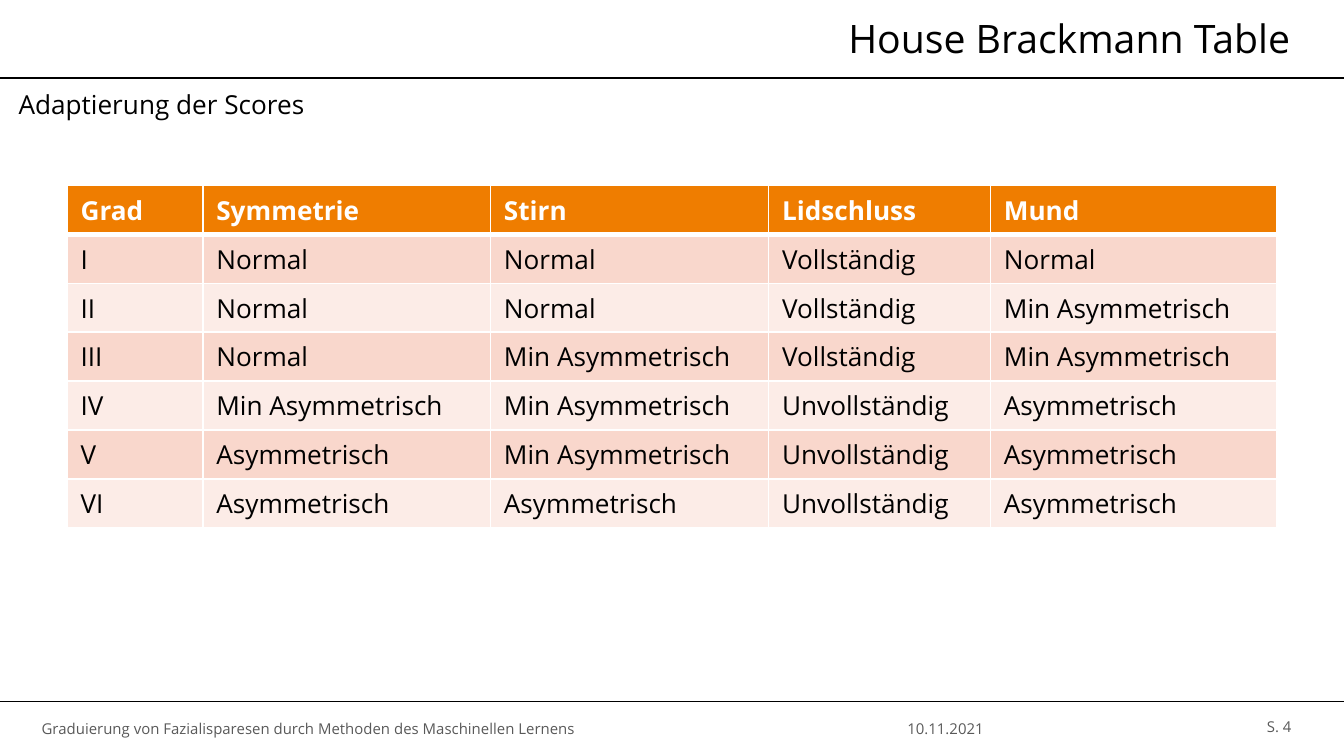
"""Builds the House Brackmann Table slide."""
import pptx
import pptx.util
import pptx.dml.color
import pptx.enum.shapes
import pptx.enum.text
import pptx.oxml
import pptx.oxml.ns

Inches = pptx.util.Inches
Pt = pptx.util.Pt
ALIGN = pptx.enum.text.PP_ALIGN
ANCHOR = pptx.enum.text.MSO_ANCHOR
COLORS = {
    "black": "000000", "white": "FFFFFF", "gray": "595959",
    "header": "EF7D00", "odd": "F9D7CC", "even": "FCECE7",
}


def rgb(name):
    return pptx.dml.color.RGBColor.from_string(COLORS[name])


def style_text(frame, size, color, align=ALIGN.LEFT, bold=False):
    para = frame.paragraphs[0]
    para.alignment = align
    font = para.runs[0].font
    font.name = "Open Sans"
    font.size = Pt(size)
    font.bold = bold
    font.color.rgb = rgb(color)


deck = pptx.Presentation()
deck.slide_width = Inches(10)
deck.slide_height = Inches(10 * 9 / 16)
page = deck.slides.add_slide(deck.slide_layouts[6])

for y in (0.58, 5.22):
    rule = page.shapes.add_connector(
        pptx.enum.shapes.MSO_CONNECTOR.STRAIGHT, Inches(0), Inches(y), Inches(10), Inches(y))
    rule.line.color.rgb = rgb("black")
    rule.line.width = Pt(1)
    rule._element.spPr.append(pptx.oxml.parse_xml(
        f'<a:effectLst {pptx.oxml.ns.nsdecls("a")}/>'))

texts = [
    ("House Brackmann Table", (2.95, 0.11, 6.72, 0.35), 21, "black", ALIGN.RIGHT, ANCHOR.MIDDLE, (0, 0.04, 0.07)),
    ("10.11.2021", (5.24, 5.22, 3.59, 0.4), 8, "gray", ALIGN.CENTER, ANCHOR.MIDDLE, (0.07, 0.04, 0.07)),
    ("Graduierung von Fazialisparesen durch Methoden des Maschinellen Lernens",
     (0.31, 5.22, 4.93, 0.4), 8, "gray", ALIGN.LEFT, ANCHOR.MIDDLE, (0, 0.04, 0.07)),
    ("S. 4", (8.81, 5.21, 0.87, 0.4), 8, "gray", ALIGN.RIGHT, ANCHOR.MIDDLE, (0.07, 0.04, 0.07)),
    ("Adaptierung der Scores", (0.04, 0.61, 5.2, 0.34), 14, "black", ALIGN.LEFT, ANCHOR.TOP, (0.1, 0.05, 0.1)),
]
for wording, place, size, color, align, anchor, (left, vertical, right) in texts:
    box = page.shapes.add_textbox(*map(Inches, place))
    frame = box.text_frame
    frame.word_wrap = True
    frame.vertical_anchor = anchor
    frame.margin_left = Inches(left)
    frame.margin_right = Inches(right)
    frame.margin_top = frame.margin_bottom = Inches(vertical)
    frame.text = wording
    style_text(frame, size, color, align)

normal, minor, asym = "Normal", "Min Asymmetrisch", "Asymmetrisch"
full, partial = "Vollständig", "Unvollständig"
grades = [
    ("Grad", "Symmetrie", "Stirn", "Lidschluss", "Mund"),
    ("I", normal, normal, full, normal),
    ("II", normal, normal, full, minor),
    ("III", normal, minor, full, minor),
    ("IV", minor, minor, partial, asym),
    ("V", asym, minor, partial, asym),
    ("VI", asym, asym, partial, asym),
]
widths = [1.01, 2.14, 2.07, 1.65, 2.13]
table_height = 2.55
table = page.shapes.add_table(
    len(grades), len(widths), Inches(0.5), Inches(1.38),
    Inches(sum(widths)), Inches(table_height)).table
for column, width in zip(table.columns, widths):
    column.width = Inches(width)

for row_index, grade in enumerate(grades):
    table.rows[row_index].height = Inches(table_height / len(grades))
    is_header = row_index == 0
    fill = "header" if is_header else "odd" if row_index % 2 else "even"
    for column_index, wording in enumerate(grade):
        cell = table.cell(row_index, column_index)
        cell.text = wording
        style_text(cell.text_frame, 14, "white" if is_header else "black", bold=is_header)
        borders = cell._tc.get_or_add_tcPr()
        for side in "LRTB":
            thick = (is_header and side == "B") or (row_index == 1 and side == "T")
            borders.append(pptx.oxml.parse_xml(
                f'<a:ln{side} {pptx.oxml.ns.nsdecls("a")} w="{Pt(3 if thick else 1)}">'
                f'<a:solidFill><a:srgbClr val="{COLORS["white"]}"/></a:solidFill></a:ln{side}>'))
        cell.fill.solid()
        cell.fill.fore_color.rgb = rgb(fill)

deck.save("out.pptx")
